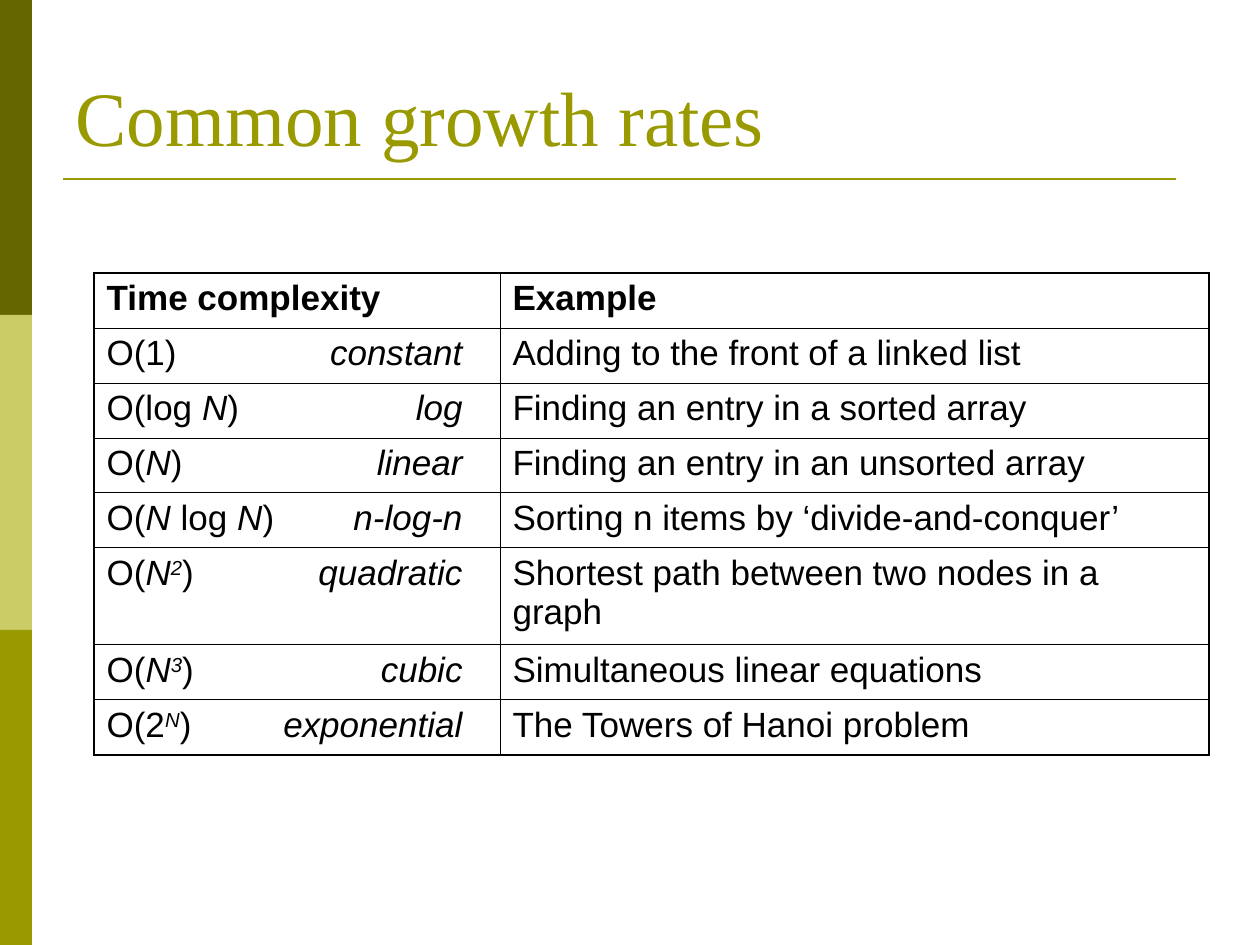
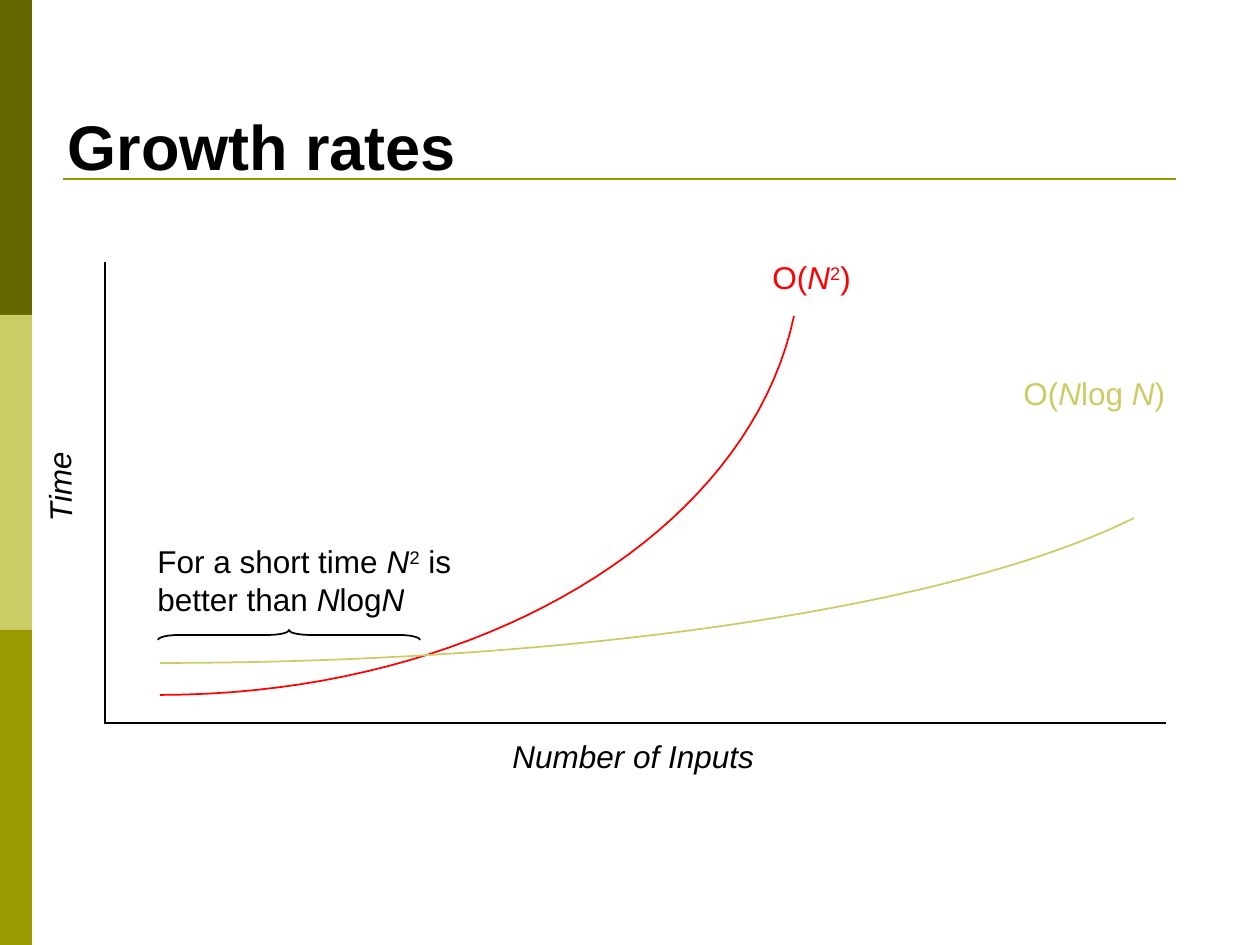
from lxml import etree
from pptx import Presentation
from pptx.dml.color import RGBColor
from pptx.enum.shapes import MSO_CONNECTOR, MSO_SHAPE
from pptx.enum.text import MSO_ANCHOR, MSO_AUTO_SIZE, PP_ALIGN
from pptx.oxml.ns import qn
from pptx.util import Emu, Pt

STRAIGHT = MSO_CONNECTOR.STRAIGHT
RECT, BRACE = MSO_SHAPE.RECTANGLE, MSO_SHAPE.LEFT_BRACE
BOTTOM, LEFT = MSO_ANCHOR.BOTTOM, PP_ALIGN.LEFT
NO_FIT, GROW = MSO_AUTO_SIZE.NONE, MSO_AUTO_SIZE.SHAPE_TO_FIT_TEXT

PX_PER_INCH = 126
WIDTH, HEIGHT = 1260, 945
DARK, PALE, OLIVE = "666600", "CCCC66", "999900"
BLACK, RED = "000000", "FF0000"
SANS, SERIF = "Arial", "Times New Roman"

# "*" toggles italics, "^" toggles superscript, a tab right-aligns the name
GROWTH_ROWS = [
    ("Time complexity", "Example"),
    ("O(1)\t*constant*", "Adding to the front of a linked list"),
    ("O(log *N*)\t*log*", "Finding an entry in a sorted array"),
    ("O(*N*)\t*linear*", "Finding an entry in an unsorted array"),
    ("O(*N* log *N*)\t*n-log-n*", "Sorting n items by ‘divide-and-conquer’"),
    ("O(*N^2^*)\t*quadratic*", "Shortest path between two nodes in a graph"),
    ("O(*N^3^*)\t*cubic*", "Simultaneous linear equations"),
    ("O(2*^N^*)\t*exponential*", "The Towers of Hanoi problem"),
]


def px(n):
    return Emu(round(n * 914400 / PX_PER_INCH))


def rgb(hex_color):
    return RGBColor.from_string(hex_color)


def style_font(font, color, **fmt):
    for name, value in fmt.items():
        setattr(font, name, value)
    font.color.rgb = rgb(color)


def write(p, markup, color, **fmt):
    """Add the runs of one paragraph from its markup."""
    for i, part in enumerate(markup.split("*")):
        for j, text in enumerate(part.split("^")):
            if not text:
                continue
            r = p.add_run()
            r.text = text
            style_font(r.font, color, italic=i % 2 == 1, **fmt)
            if j % 2:
                r.font._element.set("baseline", "30000")


def style_line(sp, color, width):
    sp.line.color.rgb = rgb(color)
    sp.line.width = Pt(width)


def add_line(slide, x1, y1, x2, y2, color, width):
    line = slide.shapes.add_connector(STRAIGHT, px(x1), px(y1), px(x2), px(y2))
    style_line(line, color, width)
    etree.SubElement(line._element.spPr, qn("a:effectLst"))


def add_frame(slide):
    """Side band in three equal blocks and the rule under the title."""
    block = HEIGHT // 3
    for i, color in enumerate((DARK, PALE, OLIVE)):
        sp = slide.shapes.add_shape(RECT, 0, px(i * block), px(32), px(block))
        sp.shadow.inherit = False
        sp.fill.solid()
        sp.fill.fore_color.rgb = rgb(color)
        sp.line.fill.background()
    add_line(slide, 63, 179, 1176, 179, OLIVE, 1.5)


def add_slide(prs, title, box, color, **fmt):
    slide = prs.slides.add_slide(prs.slide_layouts[5])
    add_frame(slide)
    sp = slide.shapes.title
    sp.left, sp.top, sp.width, sp.height = map(px, box)
    tf = sp.text_frame
    tf.vertical_anchor, tf.auto_size, tf.word_wrap = BOTTOM, NO_FIT, True
    p = tf.paragraphs[0]
    p.alignment = LEFT
    write(p, title, color, **fmt)
    return slide


def set_borders(cell, widths):
    """Draw the cell's sides; widths maps L, R, T, B to points."""
    tcPr = cell._tc.get_or_add_tcPr()
    for side, width in widths.items():
        ln = etree.SubElement(tcPr, qn("a:ln" + side), w=str(Pt(width)))
        fill = etree.SubElement(ln, qn("a:solidFill"))
        etree.SubElement(fill, qn("a:srgbClr"), val=BLACK)


def add_right_tab(p, pos):
    tabs = etree.SubElement(p._p.get_or_add_pPr(), qn("a:tabLst"))
    etree.SubElement(tabs, qn("a:tab"), pos=str(px(pos)), algn="r")


def add_growth_table(slide, x, y):
    col_widths = (406, 709)
    row_heights = [55] * 5 + [97] + [55] * 2
    last_row, last_col = len(row_heights) - 1, len(col_widths) - 1
    table = slide.shapes.add_table(
        len(row_heights), len(col_widths), px(x), px(y),
        px(sum(col_widths)), px(sum(row_heights))).table
    table.first_row = table.horz_banding = False
    for col, width in zip(table.columns, col_widths):
        col.width = px(width)
    for row, height in zip(table.rows, row_heights):
        row.height = px(height)

    outer, inner = 1.08, 0.45
    for i, texts in enumerate(GROWTH_ROWS):
        for j, text in enumerate(texts):
            cell = table.cell(i, j)
            set_borders(cell, {
                "L": outer if j == 0 else inner,
                "R": outer if j == last_col else inner,
                "T": outer if i == 0 else inner,
                "B": outer if i == last_row else inner,
            })
            cell.fill.background()
            p = cell.text_frame.paragraphs[0]
            if "\t" in text:
                add_right_tab(p, 356)
            write(p, text, BLACK, name=SANS, size=Pt(20), bold=i == 0)


def add_label(slide, box, lines, color=BLACK, rotation=0):
    sp = slide.shapes.add_textbox(*map(px, box))
    sp.rotation = rotation
    tf = sp.text_frame
    tf.word_wrap, tf.auto_size = False, GROW
    for i, text in enumerate(lines):
        p = tf.add_paragraph() if i else tf.paragraphs[0]
        write(p, text, color, name=SANS, size=Pt(18))


def add_curve(slide, x, y, controls, color, steps=40):
    """Cubic curve through four control points, relative to (x, y)."""
    points = []
    for k in range(steps + 1):
        t = k / steps
        weights = ((1 - t)**3, 3 * t * (1 - t)**2, 3 * t**2 * (1 - t), t**3)
        points.append(tuple(
            px(start + sum(w * c[axis] for w, c in zip(weights, controls)))
            for axis, start in enumerate((x, y))))
    builder = slide.shapes.build_freeform(*points[0])
    builder.add_line_segments(points[1:], close=False)
    sp = builder.convert_to_shape()
    sp.shadow.inherit = False
    sp.fill.background()
    style_line(sp, color, 1)


def add_growth_plot(slide, x, y):
    # Axes, with the plot's top left corner at (x, y)
    base = y + 461
    add_line(slide, x, y, x, base + 1, BLACK, 1)
    add_line(slide, x, base, x + 1061, base, BLACK, 1)

    # Curves
    add_curve(slide, x, y, [(689, 54), (643, 272), (374, 433), (55, 433)], RED)
    add_curve(slide, x, y, [(1029, 256), (851, 345), (472, 401), (55, 401)], PALE)

    # Axis and curve labels, each box a little wider than its text
    add_label(slide, (x + 395, y + 469, 270, 50), ["*Number of Inputs*"])
    add_label(slide, (x - 94, y + 199, 96, 50), ["*Time*"], rotation=269)
    add_label(slide, (x + 655, y - 10, 110, 50), ["O(*N*^2^)"], RED)
    add_label(slide, (x + 906, y + 106, 172, 50), ["O(*N*log *N*)"], PALE)

    # Brace over the short range, with its remark
    sp = slide.shapes.add_shape(BRACE, px(x + 179), px(y + 242), px(10), px(262))
    sp.rotation = 90
    sp.adjustments[0] = 2.08
    sp.shadow.inherit = False
    sp.fill.background()
    style_line(sp, BLACK, 1)
    add_label(slide, (x + 40, y + 274, 322, 88),
              ["For a short time *N*^2^ is", "better than *N*log*N*"])


def main():
    prs = Presentation()
    prs.slide_width, prs.slide_height = px(WIDTH), px(HEIGHT)

    slide = add_slide(prs, "Common growth rates", (63, 38, 1134, 130),
                      OLIVE, name=SERIF, size=Pt(44))
    add_growth_table(slide, 94, 273)

    slide = add_slide(prs, "Growth rates", (55, 32, 1061, 157),
                      BLACK, name=SANS, size=Pt(36), bold=True)
    add_growth_plot(slide, 105, 262)

    prs.save("out.pptx")


if __name__ == "__main__":
    main()
